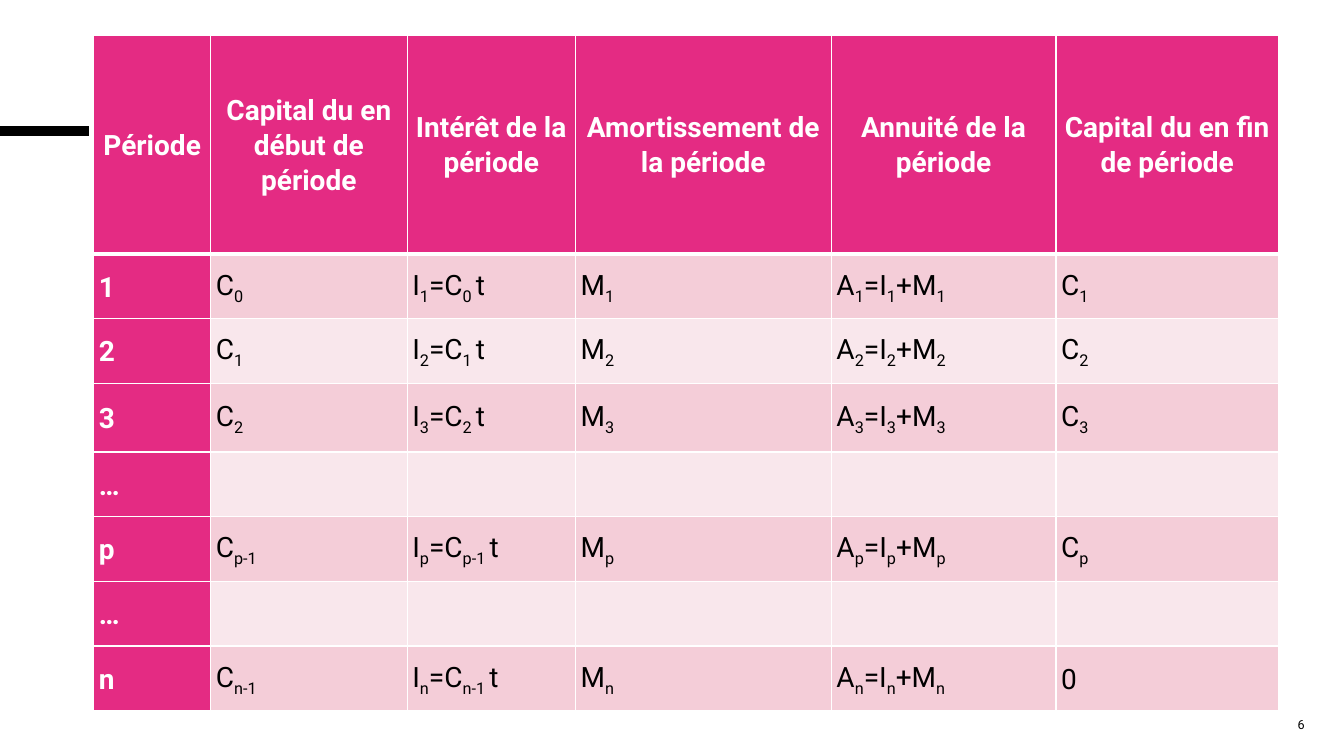
from lxml.etree import SubElement
from pptx import Presentation
from pptx.dml.color import RGBColor
from pptx.enum.shapes import MSO_CONNECTOR
from pptx.enum.text import MSO_ANCHOR, PP_ALIGN
from pptx.oxml.ns import qn
from pptx.util import Cm, Pt

PINK, ROSE, PALE = "E42B83", "F4CDD8", "F9E7EC"
WHITE, BLACK = "FFFFFF", "000000"


def color(hex_code):
    return RGBColor.from_string(hex_code)


def add_border(cell, side, width):
    """Draw a white border on one side (L, R, T or B); call before filling the cell."""
    border = SubElement(cell._tc.get_or_add_tcPr(), qn(f"a:ln{side}"), w=str(Pt(width)))
    fill = SubElement(border, qn("a:solidFill"))
    SubElement(fill, qn("a:srgbClr"), val=WHITE)


prs = Presentation()
prs.slide_width, prs.slide_height = Cm(33.87), Cm(19.05)
slide = prs.slides.add_slide(prs.slide_layouts[6])

accent = slide.shapes.add_connector(MSO_CONNECTOR.STRAIGHT, 0, Cm(3.3), Cm(2.24), Cm(3.3))
accent.line.color.rgb = color(BLACK)
accent.line.width = Pt(6.75)
SubElement(accent._element.spPr, qn("a:effectLst"))

# Every second piece between bars is a subscript.
headers = ["Période", "Capital du en début de période", "Intérêt de la période",
           "Amortissement de la période", "Annuité de la période",
           "Capital du en fin de période"]
rows = [headers]
for period, previous in [("1", "0"), ("2", "1"), ("3", "2"), ("…", ""),
                         ("p", "p-1"), ("…", ""), ("n", "n-1")]:
    if period == "…":
        rows.append([period] + [""] * 5)
        continue
    final_capital = "0" if period == "n" else f"C|{period}"
    rows.append([period, f"C|{previous}", f"I|{period}|=C|{previous} |t", f"M|{period}",
                 f"A|{period}|=I|{period}|+M|{period}", final_capital])

widths = [2.95, 4.95, 4.24, 6.45, 5.66, 5.61]
heights = [5.51, 1.63, 1.63, 1.73, 1.63, 1.63, 1.63, 1.63]
schedule = slide.shapes.add_table(len(rows), len(headers), Cm(2.36), Cm(0.89),
                                  Cm(sum(widths)), Cm(sum(heights))).table
schedule.first_col = True
for column, width in zip(schedule.columns, widths):
    column.width = Cm(width)
for row, height in zip(schedule.rows, heights):
    row.height = Cm(height)

for r, entries in enumerate(rows):
    for c, entry in enumerate(entries):
        cell = schedule.cell(r, c)
        is_heading = r == 0 or c == 0
        for side in "LRTB":
            under_header = (r, side) in [(0, "B"), (1, "T")]
            add_border(cell, side, 3 if under_header else 0.96)
        cell.fill.solid()
        cell.fill.fore_color.rgb = color(PINK if is_heading else ROSE if r % 2 else PALE)
        cell.vertical_anchor = MSO_ANCHOR.MIDDLE
        cell.margin_left = cell.margin_right = Cm(0.13)
        cell.margin_top = cell.margin_bottom = Cm(0.13)

        paragraph = cell.text_frame.paragraphs[0]
        paragraph.alignment = PP_ALIGN.LEFT if r else PP_ALIGN.CENTER
        paragraph.line_spacing = 1.07
        paragraph.space_after = Pt(8 if r else 0)
        paragraph.font.name = "Roboto"
        paragraph.font.size = Pt(20)
        paragraph.font.bold = is_heading
        paragraph.font.color.rgb = color(WHITE if is_heading else BLACK)
        if not entry:
            continue
        for i, piece in enumerate(entry.split("|")):
            run = paragraph.add_run()
            run.text = piece
            if i % 2:
                run._r.get_or_add_rPr().set("baseline", "-25000")

page_number = slide.shapes.add_textbox(Cm(30.51), Cm(17.75), Cm(2.62), Cm(1.02)).text_frame
page_number.word_wrap = True
page_number.vertical_anchor = MSO_ANCHOR.MIDDLE
page_number.text = "6"
number = page_number.paragraphs[0]
number.alignment = PP_ALIGN.RIGHT
number.font.name = "Roboto"
number.font.size = Pt(9)
number.font.color.rgb = color(BLACK)

prs.save("out.pptx")
